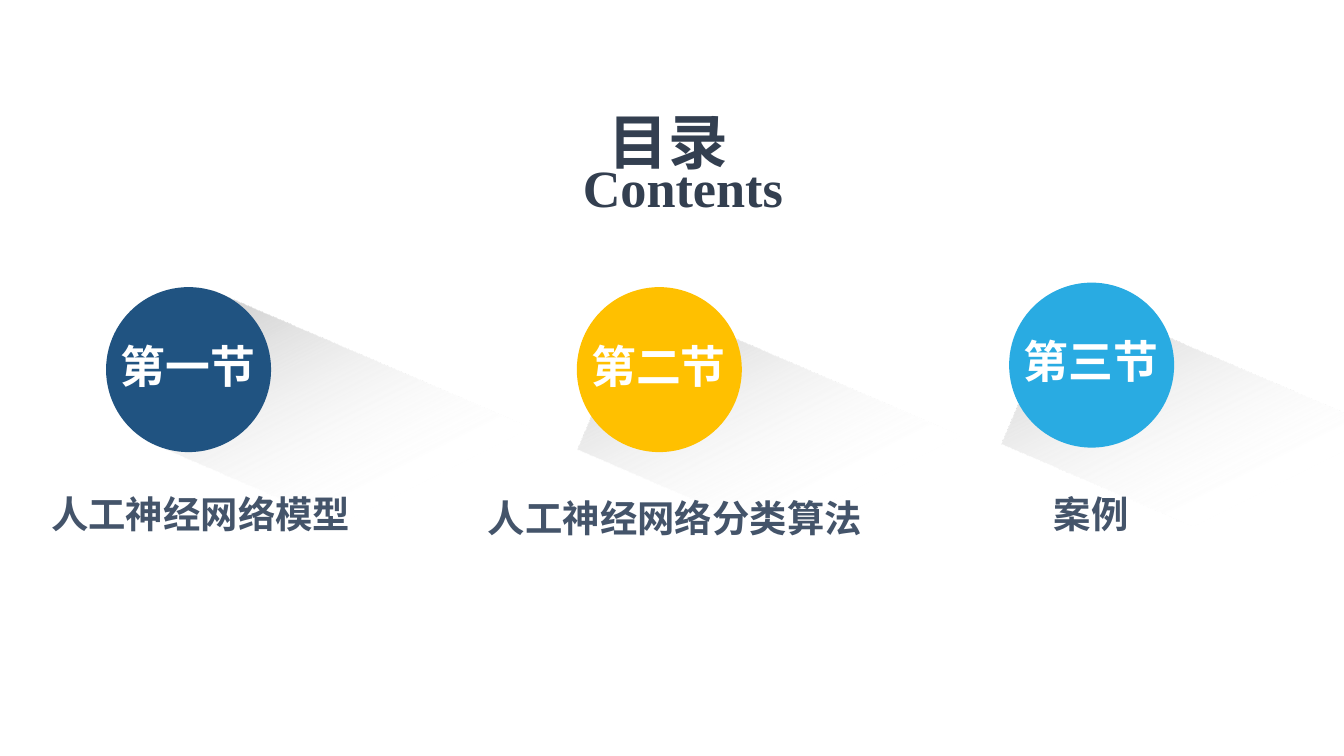
"""Build a contents slide with three numbered sections."""
from dataclasses import dataclass

from lxml.etree import SubElement
from pptx import Presentation
from pptx.dml.color import RGBColor
from pptx.enum.shapes import MSO_SHAPE
from pptx.enum.text import MSO_ANCHOR, PP_ALIGN
from pptx.oxml import parse_xml
from pptx.oxml.ns import nsdecls, qn
from pptx.util import Pt


@dataclass(frozen=True)
class Theme:
    heading: str = "333F50"
    topic: str = "44546A"
    number: str = "FFFFFF"
    shade_start: str = "BFBFBF"
    shade_end: str = "FFFFFF"
    chinese: str = "Noto Sans CJK SC"
    latin: str = "Times New Roman"
    title_size: int = 32
    subtitle_size: int = 28
    number_size: int = 24
    topic_size: int = 20


class ContentsSlide:
    def __init__(self, slide, theme):
        self.slide = slide
        self.theme = theme

    def shape(self, kind, left, top, width, height):
        shape = self.slide.shapes.add_shape(kind, Pt(left), Pt(top), Pt(width), Pt(height))
        shape.shadow.inherit = False
        shape.line.fill.background()
        return shape

    def circle(self, center, top, diameter, color):
        circle = self.shape(MSO_SHAPE.OVAL, center - diameter / 2, top, diameter, diameter)
        circle.fill.solid()
        circle.fill.fore_color.rgb = RGBColor.from_string(color)

    def long_shadow(self, left, top):
        shadow = self.shape(MSO_SHAPE.RECTANGLE, left, top, 267.8, 87.8)
        shadow.rotation = 23.3
        gradient = parse_xml(
            f'<a:gradFill {nsdecls("a")} rotWithShape="1"><a:gsLst>'
            f'<a:gs pos="0"><a:srgbClr val="{self.theme.shade_start}"/></a:gs>'
            f'<a:gs pos="54000"><a:srgbClr val="{self.theme.shade_end}">'
            '<a:alpha val="0"/></a:srgbClr></a:gs>'
            '</a:gsLst><a:lin ang="2400000" scaled="0"/></a:gradFill>')
        shadow.element.spPr.find(qn("a:prstGeom")).addnext(gradient)

    def text(self, words, center, top, width, height, size, color, font,
             anchor=MSO_ANCHOR.MIDDLE, align=PP_ALIGN.CENTER):
        box = self.slide.shapes.add_textbox(
            Pt(center - width / 2), Pt(top), Pt(width), Pt(height))
        frame = box.text_frame
        frame_format = {"word_wrap": True, "vertical_anchor": anchor, "margin_left": 0,
                        "margin_top": 0, "margin_right": 0, "margin_bottom": 0}
        for name, value in frame_format.items():
            setattr(frame, name, value)
        paragraph = frame.paragraphs[0]
        paragraph.alignment = align
        run = paragraph.add_run()
        run.text = words
        for name, value in {"size": Pt(size), "bold": True, "name": font}.items():
            setattr(run.font, name, value)
        run.font.color.rgb = RGBColor.from_string(color)
        SubElement(run.font._element, qn("a:ea"), typeface=font)


def main():
    deck = Presentation()
    deck.slide_width, deck.slide_height = Pt(720), Pt(405)
    theme = Theme()
    contents = ContentsSlide(deck.slides.add_slide(deck.slide_layouts[6]), theme)

    sections = [
        ("第一节", "人工神经网络模型", "205381", 101, 153.8, (85.7, 205.2), (107.6, 262.8)),
        ("第二节", "人工神经网络分类算法", "FFC000", 353.2, 153.8, (316.1, 209.5), (361.6, 265)),
        ("第三节", "案例", "29ABE2", 584.8, 151.4, (542.9, 206.6), (584.6, 262.8)),
    ]
    for *_, shadow_corner, _ in sections:
        contents.long_shadow(*shadow_corner)

    contents.text("目录", 365.8, 56.2, 79.2, 36, theme.title_size, theme.heading,
                  theme.chinese, MSO_ANCHOR.TOP, PP_ALIGN.JUSTIFY)
    contents.text("Contents", 365.8, 82, 130, 36, theme.subtitle_size,
                  theme.heading, theme.latin)

    for number, topic, color, center, top, _, (topic_center, topic_top) in sections:
        contents.circle(center, top, 88.4, color)
        contents.text(number, center - 0.4, top + 24, 95, 36, theme.number_size,
                      theme.number, theme.chinese)
        contents.text(topic, topic_center, topic_top, len(topic) * theme.topic_size + 4, 24.5,
                      theme.topic_size, theme.topic, theme.chinese)

    deck.save("out.pptx")


if __name__ == "__main__":
    main()
